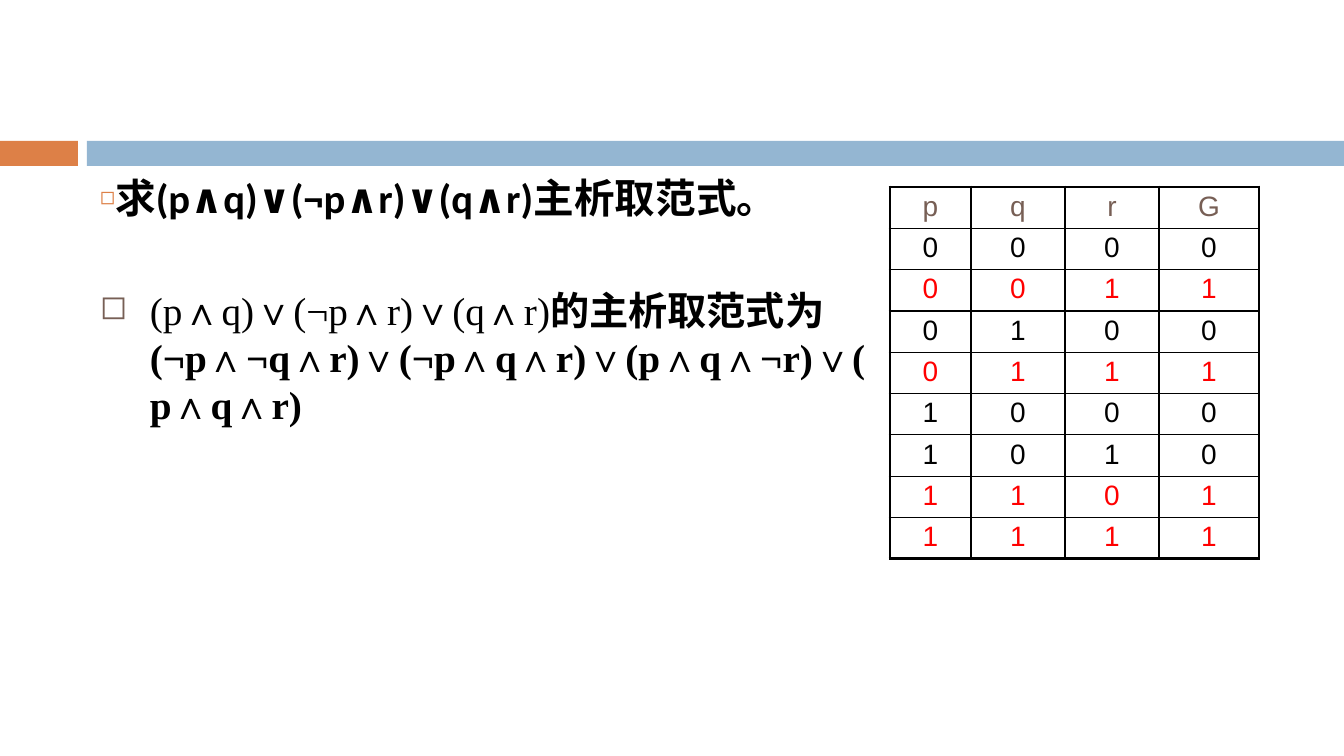
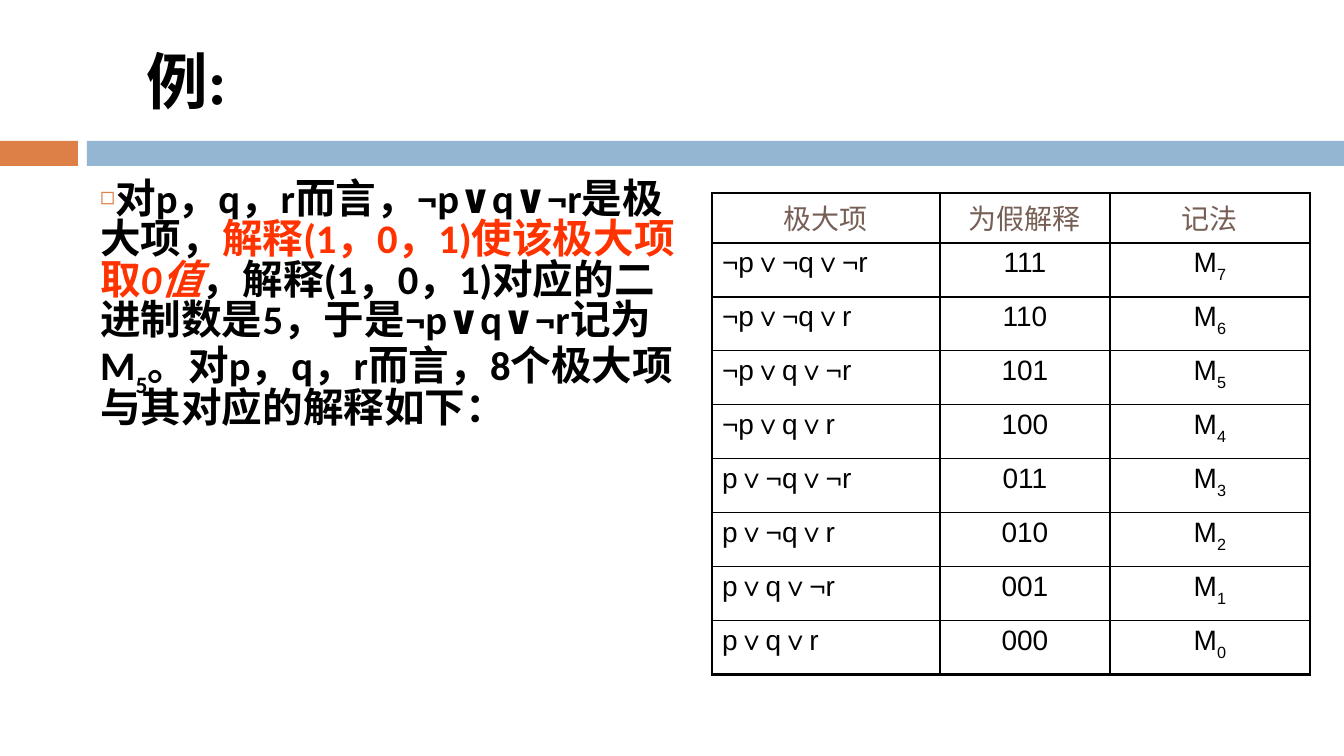
"""Builds two logic slides: a truth table and a table of maxterms."""
import dataclasses
import itertools

import lxml.etree
import pptx
import pptx.dml.color
import pptx.enum.shapes
import pptx.enum.text
import pptx.oxml.ns
import pptx.util

PX = 914400 / 100.8
SLIDE_SIZE = (1344, 756)


@dataclasses.dataclass(frozen=True)
class Theme:
    """Colours, fonts and type sizes of the deck."""
    ink: str = "000000"
    orange: str = "DD8047"
    blue: str = "94B6D2"
    brown: str = "775F55"
    red: str = "FF0000"
    highlight: str = "FF3300"
    cjk: str = "Noto Sans CJK SC"
    sans: str = "Calibri"
    serif: str = "Times New Roman"
    grid: str = "Arial"
    title_size: int = 44
    body_size: int = 29
    note_size: int = 28
    table_size: int = 20
    thin: float = 1
    thick: float = 2.25


THEME = Theme()
BANDS = [((0, 141, 78, 25), THEME.orange), ((87, 141, 1257, 25), THEME.blue)]
HOT = {"color": THEME.highlight}
SUB = {"subscript": True}
BOLD = {"bold": True}

TRUTH_BODY = [("求(p∧q)∨(¬p∧r)∨(q∧r)主析取范式。", {})]
TRUTH_NOTE = [
    ("(p∧q)∨(¬p∧r)∨(q∧r)", {}),
    ("的主析取范式为", BOLD),
    ("(¬p∧¬q∧r)∨(¬p∧q∧r)∨(p∧q∧¬r)∨(p∧q∧r)", BOLD),
]
TRUTH_HEAD = ["p", "q", "r", "G"]
TRUTH_VALUES = ["0000", "0011", "0100", "0111", "1000", "1010", "1101", "1111"]

MAXTERM_TITLE = [("例:", {})]
MAXTERM_BODY = [
    ("对p，q，r而言，¬p∨q∨¬r是极大项，", {}),
    ("解释(1，0，1)使该极大项取", HOT),
    ("0值", {**HOT, "italic": True}),
    ("，解释(1，0，1)对应的二进制数是5，于是¬p∨q∨¬r记为M", {}),
    ("5", SUB),
    ("。对p，q，r而言，8个极大项与其对应的解释如下：", {}),
]
MAXTERM_HEAD = ["极大项", "为假解释", "记法"]


def px(length):
    return pptx.util.Emu(round(length * PX))


def rgb(code):
    return pptx.dml.color.RGBColor.from_string(code)


def add_xml(parent, tag, **attributes):
    values = {key: str(value) for key, value in attributes.items()}
    return lxml.etree.SubElement(parent, pptx.oxml.ns.qn(tag), values)


def place(shape, left, top, width, height):
    shape.left, shape.top = px(left), px(top)
    shape.width, shape.height = px(width), px(height)


def is_cjk(letter):
    return ord(letter) > 0x2E80


def write(para, pieces, size, font, color=THEME.ink, bold=False):
    for text, style in pieces:
        for wide, letters in itertools.groupby(text, is_cjk):
            span = para.add_run()
            span.text = "".join(letters)
            span.font.size = pptx.util.Pt(size)
            span.font.bold = style.get("bold", bold)
            span.font.italic = style.get("italic", False)
            span.font.color.rgb = rgb(style.get("color", color))
            span.font.name = THEME.cjk if wide else font
            props = span._r.get_or_add_rPr()
            add_xml(props, "a:ea", typeface=THEME.cjk)
            if style.get("subscript"):
                props.set("baseline", "-30000")


def add_bullet(para, color, percent, indent):
    props = para._p.get_or_add_pPr()
    props.set("marL", str(px(indent)))
    props.set("indent", str(px(-indent)))
    add_xml(add_xml(props, "a:buClr"), "a:srgbClr", val=color)
    add_xml(props, "a:buSzPct", val=percent * 1000)
    add_xml(props, "a:buChar", char="◻")


def prepare(shape, bounds):
    place(shape, *bounds)
    frame = shape.text_frame
    frame.word_wrap = True
    frame.auto_size = pptx.enum.text.MSO_AUTO_SIZE.NONE
    para = frame.paragraphs[0]
    para.alignment = pptx.enum.text.PP_ALIGN.LEFT
    return para


def fill_title(page, pieces):
    title = page.shapes.title
    para = prepare(title, (136, 25, 1076, 109))
    title.text_frame.vertical_anchor = pptx.enum.text.MSO_ANCHOR.MIDDLE
    write(para, pieces, THEME.title_size, THEME.serif, bold=True)


def fill_body(page, pieces, width):
    para = prepare(page.placeholders[1], (90, 176, width, 496))
    para.space_before = pptx.util.Pt(3)
    para.line_spacing = 0.83
    add_bullet(para, THEME.orange, 60, 0)
    write(para, pieces, THEME.body_size, THEME.sans, bold=True)


def add_note(page, pieces, bounds):
    para = prepare(page.shapes.add_textbox(0, 0, 0, 0), bounds)
    para.space_before = pptx.util.Pt(3)
    para.line_spacing = pptx.util.Pt(33.6)
    add_bullet(para, THEME.brown, 85, 50)
    write(para, pieces, THEME.note_size, THEME.serif)


def add_borders(cell, outer_sides):
    props = cell._tc.get_or_add_tcPr()
    for side in "LRTB":
        weight = THEME.thick if outer_sides[side] else THEME.thin
        line = add_xml(props, "a:ln" + side, w=pptx.util.Pt(weight))
        add_xml(add_xml(line, "a:solidFill"), "a:srgbClr", val=THEME.ink)


def add_grid(page, left, top, widths, heights, rows, left_column=None):
    """Add a ruled table whose rows are (colour, cells) pairs."""
    frame = page.shapes.add_table(len(rows), len(widths), px(left), px(top),
                                  px(sum(widths)), px(sum(heights)))
    table = frame.table
    table.first_row = table.horz_banding = False
    for column, width in zip(table.columns, widths):
        column.width = px(width)
    for row, height in zip(table.rows, heights):
        row.height = px(height)
    for r, (color, cells) in enumerate(rows):
        for c, pieces in enumerate(cells):
            cell = table.cell(r, c)
            add_borders(cell, {"L": c == 0, "R": c == len(widths) - 1,
                               "T": r == 0, "B": r == len(rows) - 1})
            cell.fill.background()
            cell.margin_top = cell.margin_bottom = px(4)
            para = cell.text_frame.paragraphs[0]
            align = pptx.enum.text.PP_ALIGN
            flush = r > 0 and c == left_column
            para.alignment = align.LEFT if flush else align.CENTER
            write(para, pieces, THEME.table_size, THEME.grid, color)


def plain(texts):
    return [[(text, {})] for text in texts]


def maxterm_row(number):
    bits = f"{number:03b}"
    term = "∨".join("¬" * int(bit) + name for name, bit in zip("pqr", bits))
    return THEME.ink, [*plain([term, bits]), [("M", {}), (str(number), SUB)]]


def add_bands(deck, page):
    for bounds, color in BANDS:
        band = page.shapes.add_shape(
            pptx.enum.shapes.MSO_SHAPE.RECTANGLE, 0, 0, 0, 0)
        place(band, *bounds)
        band.shadow.inherit = False
        band.fill.solid()
        band.fill.fore_color.rgb = rgb(color)
        band.line.fill.background()
        deck.slide_master.shapes.element.append(band.element)


def build_truth_page(page):
    title = page.shapes.title.element
    title.getparent().remove(title)
    fill_body(page, TRUTH_BODY, 1138)
    rows = [(THEME.brown, plain(TRUTH_HEAD))]
    rows += [(THEME.red if bits[-1] == "1" else THEME.ink, plain(bits))
             for bits in TRUTH_VALUES]
    heights = [372 / len(rows)] * len(rows)
    add_grid(page, 890, 187, [81, 94, 94, 100], heights, rows)
    add_note(page, TRUTH_NOTE, (90, 281, 804, 143))


def build_maxterm_page(page):
    fill_title(page, MAXTERM_TITLE)
    fill_body(page, MAXTERM_BODY, 606)
    rows = [(THEME.brown, plain(MAXTERM_HEAD))]
    rows += [maxterm_row(number) for number in reversed(range(8))]
    add_grid(page, 712, 193, [228, 170, 200], [50] + [54] * 8, rows,
             left_column=0)


def main():
    deck = pptx.Presentation()
    deck.slide_width, deck.slide_height = map(px, SLIDE_SIZE)
    layout = deck.slide_layouts[1]
    pages = [deck.slides.add_slide(layout) for _ in range(2)]
    add_bands(deck, pages[0])
    build_truth_page(pages[0])
    build_maxterm_page(pages[1])
    deck.save("out.pptx")


if __name__ == "__main__":
    main()
